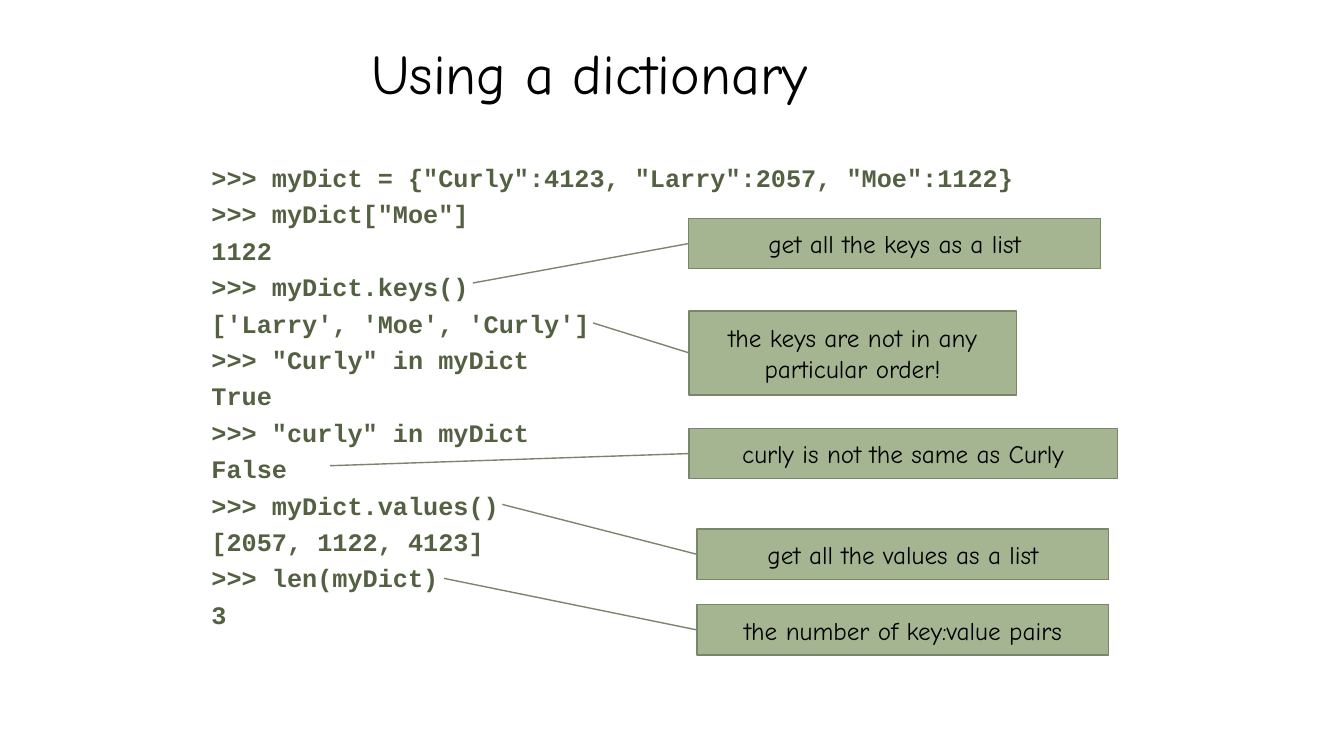
from dataclasses import dataclass

from pptx import Presentation
from pptx.dml.color import RGBColor
from pptx.enum.shapes import MSO_SHAPE
from pptx.enum.text import MSO_ANCHOR, MSO_AUTO_SIZE, PP_ALIGN
from pptx.util import Inches, Pt

CALLOUT_SHAPE = MSO_SHAPE.LINE_CALLOUT_1
TOP, MIDDLE = MSO_ANCHOR.TOP, MSO_ANCHOR.MIDDLE
LEFT, CENTER = PP_ALIGN.LEFT, PP_ALIGN.CENTER
FIXED_SIZE = MSO_AUTO_SIZE.NONE

CELL = Inches(1) / 12
TITLE_ONLY = 5
BLACK, CODE_GREEN, CALLOUT_FILL, CALLOUT_EDGE = "000000", "536142", "A5B592", "7A866C"

TITLE_FONT = {"name": "Comic Neue", "size": Pt(40), "bold": False}
CODE_FONT = {"name": "Courier New", "size": Pt(18), "bold": True}
CALLOUT_FONT = {"name": "Comic Neue", "size": Pt(18), "bold": False}
TITLE_PARAGRAPH = {"alignment": LEFT}
CODE_PARAGRAPH = {"alignment": LEFT, "line_spacing": Pt(26)}
CALLOUT_PARAGRAPH = {"alignment": CENTER}

SESSION = """>>> myDict = {"Curly":4123, "Larry":2057, "Moe":1122}
>>> myDict["Moe"]
1122
>>> myDict.keys()
['Larry', 'Moe', 'Curly']
>>> "Curly" in myDict
True
>>> "curly" in myDict
False
>>> myDict.values()
[2057, 1122, 4123]
>>> len(myDict)
3"""


@dataclass(frozen=True)
class Area:
    column: float
    row: float
    columns: float
    rows: float

    def lengths(self) -> tuple[int, ...]:
        return tuple(cells(n) for n in (self.column, self.row, self.columns, self.rows))


@dataclass(frozen=True)
class Callout:
    words: str
    area: Area
    tip_column: float
    tip_row: float

    def pointer(self) -> tuple[float, ...]:
        area = self.area
        return (
            0.5,
            0,
            (self.tip_row - area.row) / area.rows,
            (self.tip_column - area.column) / area.columns,
        )


TITLE_AREA = Area(43, 4, 58.8, 9.25)
SESSION_AREA = Area(24, 18, 103, 62.5)
CALLOUTS = (
    Callout("the keys are not in any particular order!", Area(82, 37, 39, 10), 70.6, 38.45),
    Callout("curly is not the same as Curly", Area(82, 51, 51, 6), 39.3, 55.45),
    Callout("get all the keys as a list", Area(82, 26, 49, 6), 56.3, 33.7),
    Callout("get all the values as a list", Area(83, 63, 49, 6), 59.8, 60.05),
    Callout("the number of key:value pairs", Area(83, 72, 49, 6), 52.85, 68.85),
)


def cells(count: float) -> int:
    return round(count * CELL)


def colour(code: str) -> RGBColor:
    return RGBColor.from_string(code)


def apply(target, values: dict) -> None:
    for key, value in values.items():
        setattr(target, key, value)


def write(frame, words: str, font: dict, ink: str, paragraph_format: dict, anchor) -> None:
    apply(frame, {"word_wrap": True, "auto_size": FIXED_SIZE, "vertical_anchor": anchor})
    frame.text = words
    for paragraph in frame.paragraphs:
        apply(paragraph, paragraph_format)
        for run in paragraph.runs:
            apply(run.font, font)
            run.font.color.rgb = colour(ink)


def draw_title(slide) -> None:
    title = slide.shapes.title
    apply(title, dict(zip(("left", "top", "width", "height"), TITLE_AREA.lengths())))
    write(title.text_frame, "Using a dictionary", TITLE_FONT, BLACK, TITLE_PARAGRAPH, TOP)


def draw_session(slide) -> None:
    session = slide.shapes.add_textbox(*SESSION_AREA.lengths())
    write(session.text_frame, SESSION, CODE_FONT, CODE_GREEN, CODE_PARAGRAPH, TOP)


def draw_callout(slide, callout: Callout) -> None:
    note = slide.shapes.add_shape(CALLOUT_SHAPE, *callout.area.lengths())
    for index, share in enumerate(callout.pointer()):
        note.adjustments[index] = share
    note.shadow.inherit = False
    note.fill.solid()
    note.fill.fore_color.rgb = colour(CALLOUT_FILL)
    note.line.color.rgb = colour(CALLOUT_EDGE)
    note.line.width = Pt(1)
    write(note.text_frame, callout.words, CALLOUT_FONT, BLACK, CALLOUT_PARAGRAPH, MIDDLE)


def main() -> None:
    deck = Presentation()
    apply(deck, {"slide_width": cells(160), "slide_height": cells(90)})
    slide = deck.slides.add_slide(deck.slide_layouts[TITLE_ONLY])
    draw_title(slide)
    draw_session(slide)
    for callout in CALLOUTS:
        draw_callout(slide, callout)
    deck.save("out.pptx")


if __name__ == "__main__":
    main()
